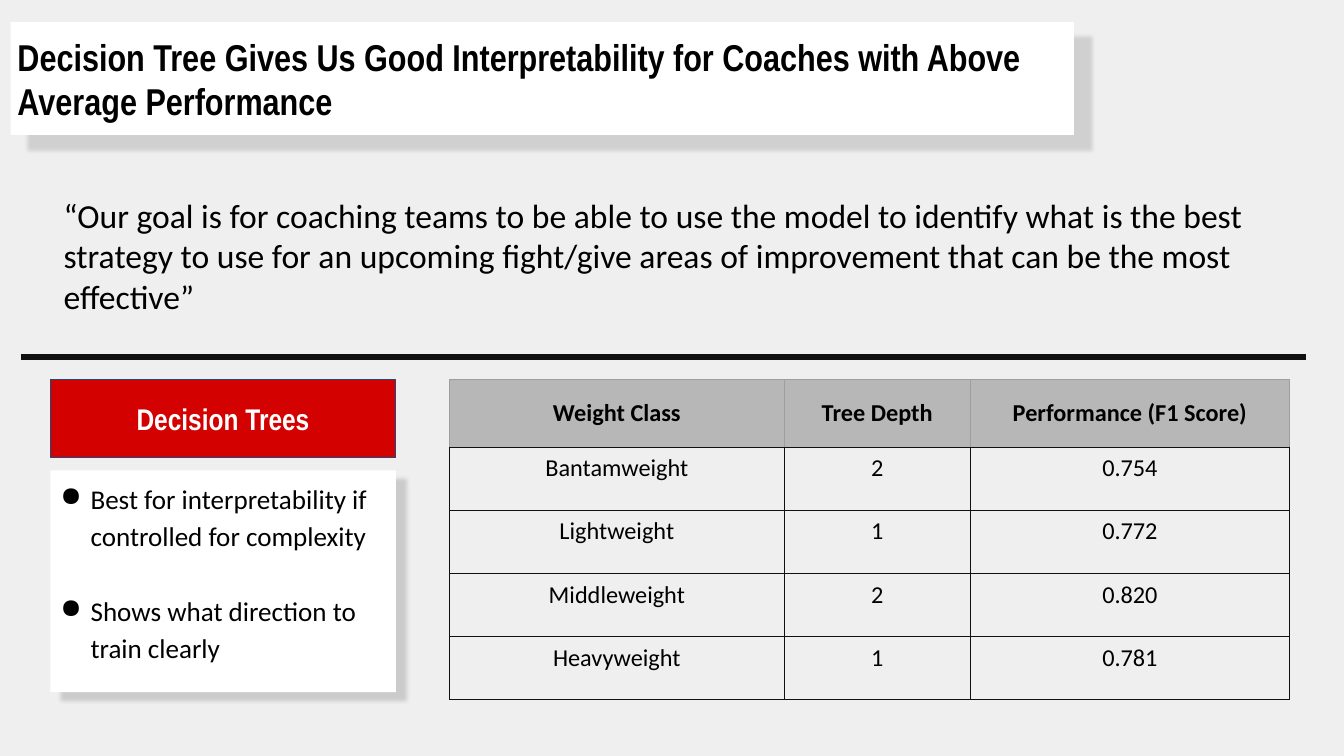
from dataclasses import dataclass
from typing import Any, NamedTuple, Optional

from lxml import etree
from pptx import Presentation
from pptx import util as u
from pptx.dml import color
from pptx.enum import shapes, text
from pptx.oxml import ns

SLIDE_WIDTH, SLIDE_HEIGHT = u.Inches(20), u.Inches(11.25)


@dataclass(frozen=True)
class Theme:
    background: str = "EFEFEF"
    panel: str = "FFFFFF"
    accent: str = "D40101"
    accent_edge: str = "1F497D"
    ink: str = "000000"
    rule: str = "101010"
    header: str = "B7B7B7"
    header_edge: str = "9E9E9E"
    heading_font: str = "Arial Narrow"
    body_font: str = "Calibri"
    title_size: float = 40
    quote_size: float = 36
    label_size: float = 32
    point_size: float = 29
    table_size: float = 26
    hairline: float = 0.75
    rule_width: float = 6


class Area(NamedTuple):
    left: float
    top: float
    width: float
    height: float


class Style(NamedTuple):
    font: str
    size: float
    ink: str
    bold: bool = False
    align: Any = text.PP_ALIGN.LEFT
    anchor: Any = text.MSO_ANCHOR.TOP


class Shadow(NamedTuple):
    opacity: int
    blur: float
    distance: float
    angle: float


class Result(NamedTuple):
    weight_class: str
    tree_depth: str
    score: str


THEME = Theme()
CENTER, MIDDLE = text.PP_ALIGN.CENTER, text.MSO_ANCHOR.MIDDLE
INSET = u.Inches(0.1)

TITLE_AREA = Area(0.8, 2.93, 79.1, 14.93)
QUOTE_AREA = Area(4.25, 24.89, 89.3, 18.93)
LABEL_AREA = Area(3.75, 50.22, 25.7, 10.31)
POINTS_AREA = Area(3.75, 62.22, 25.7, 29.33)
RESULTS_AREA = Area(33.45, 50.22, 62.5, 42.31)
RULE_LEFT, RULE_RIGHT, RULE_TOP = 1.55, 97.15, 47.2
RESULT_COLUMNS = (24.9, 13.85, 23.75)
HEADER_ROW, RESULT_ROW = 8.89, 8.36

TITLE_STYLE = Style(THEME.heading_font, THEME.title_size, THEME.ink, True, anchor=MIDDLE)
QUOTE_STYLE = Style(THEME.body_font, THEME.quote_size, THEME.ink)
LABEL_STYLE = Style(THEME.heading_font, THEME.label_size, THEME.panel, True, CENTER, MIDDLE)
POINT_STYLE = Style(THEME.body_font, THEME.point_size, THEME.ink)
HEADER_STYLE = Style(THEME.body_font, THEME.table_size, THEME.ink, True, CENTER, MIDDLE)
RESULT_STYLE = Style(THEME.body_font, THEME.table_size, THEME.ink, align=CENTER)

TITLE = "Decision Tree Gives Us Good Interpretability for Coaches with Above Average Performance"
QUOTE = (
    "“Our goal is for coaching teams to be able to use the model to identify what is the best "
    "strategy to use for an upcoming fight/give areas of improvement that can be the most effective”"
)
POINTS = (
    "Best for interpretability if controlled for complexity",
    "Shows what direction to train clearly",
)
RESULTS = (
    Result("Weight Class", "Tree Depth", "Performance (F1 Score)"),
    Result("Bantamweight", "2", "0.754"),
    Result("Lightweight", "1", "0.772"),
    Result("Middleweight", "2", "0.820"),
    Result("Heavyweight", "1", "0.781"),
)


def across(share: float) -> int:
    return round(SLIDE_WIDTH * share / 100)


def down(share: float) -> int:
    return round(SLIDE_HEIGHT * share / 100)


def place(area: Area) -> tuple[int, int, int, int]:
    return across(area.left), down(area.top), across(area.width), down(area.height)


def rgb(value: str) -> color.RGBColor:
    return color.RGBColor.from_string(value)


def add_child(parent: Any, tag: str, **attributes: Any) -> Any:
    values = {name: str(value) for name, value in attributes.items()}
    return etree.SubElement(parent, ns.qn(tag), values)


def paint(fill: Any, value: str) -> None:
    fill.solid()
    fill.fore_color.rgb = rgb(value)


def set_margins(holder: Any) -> None:
    holder.margin_left = holder.margin_right = INSET
    holder.margin_top = holder.margin_bottom = INSET


def format_paragraphs(frame: Any, style: Style) -> None:
    for paragraph in frame.paragraphs:
        paragraph.alignment = style.align
        for run in paragraph.runs:
            run.font.name = style.font
            run.font.size = u.Pt(style.size)
            run.font.bold = style.bold
            run.font.color.rgb = rgb(style.ink)


def write(frame: Any, words: str, style: Style) -> None:
    frame.text = words
    frame.word_wrap = True
    frame.auto_size = text.MSO_AUTO_SIZE.NONE
    frame.vertical_anchor = style.anchor
    set_margins(frame)
    format_paragraphs(frame, style)


def cast_shadow(shape: Any, shadow: Shadow) -> None:
    shape.shadow.inherit = False
    effects = shape.element.spPr.find(ns.qn("a:effectLst"))
    outer = add_child(effects, "a:outerShdw", blurRad=u.Pt(shadow.blur), dist=u.Pt(shadow.distance),
                      dir=round(shadow.angle * 60000), algn="bl", rotWithShape=0)
    tint = add_child(outer, "a:srgbClr", val=THEME.ink)
    add_child(tint, "a:alpha", val=shadow.opacity * 1000)


def add_panel(slide: Any, area: Area, fill: str, edge: Optional[str] = None) -> Any:
    panel = slide.shapes.add_shape(shapes.MSO_SHAPE.RECTANGLE, *place(area))
    panel.shadow.inherit = False
    paint(panel.fill, fill)
    if edge:
        paint(panel.line.fill, edge)
        panel.line.width = u.Pt(THEME.hairline)
    else:
        panel.line.fill.background()
    return panel


def add_points(slide: Any) -> None:
    panel = add_panel(slide, POINTS_AREA, THEME.panel)
    cast_shadow(panel, Shadow(15, 4.5, 14.2, 40))
    write(panel.text_frame, "\n".join(POINTS), POINT_STYLE)
    for position, paragraph in enumerate(panel.text_frame.paragraphs):
        paragraph.line_spacing = 1.15
        if position:
            paragraph.space_before = u.Pt(40)
        properties = paragraph._p.get_or_add_pPr()
        properties.set("marL", str(u.Inches(0.5)))
        properties.set("indent", str(u.Inches(-0.45)))
        add_child(add_child(properties, "a:buClr"), "a:srgbClr", val=THEME.ink)
        add_child(properties, "a:buChar", char="●")


def add_borders(cell: Any, sides: dict[str, str]) -> None:
    properties = cell._tc.get_or_add_tcPr()
    for side, value in sides.items():
        border = add_child(properties, f"a:ln{side}", w=u.Pt(THEME.hairline))
        add_child(add_child(border, "a:solidFill"), "a:srgbClr", val=value)


def add_results(slide: Any) -> None:
    table = slide.shapes.add_table(len(RESULTS), len(RESULT_COLUMNS), *place(RESULTS_AREA)).table
    table.first_row = table.horz_banding = False
    for column, share in zip(table.columns, RESULT_COLUMNS):
        column.width = across(share)
    for position, (row, result) in enumerate(zip(table.rows, RESULTS)):
        is_header = position == 0
        row.height = down(HEADER_ROW if is_header else RESULT_ROW)
        style = HEADER_STYLE if is_header else RESULT_STYLE
        edge = THEME.header_edge if is_header else THEME.rule
        for cell, words in zip(row.cells, result):
            cell.text_frame.text = words
            cell.vertical_anchor = style.anchor
            set_margins(cell)
            format_paragraphs(cell.text_frame, style)
            add_borders(cell, {"L": edge, "R": edge, "T": edge, "B": THEME.rule})
            if is_header:
                paint(cell.fill, THEME.header)
            else:
                cell.fill.background()


def add_rule(slide: Any) -> None:
    rule = slide.shapes.add_connector(shapes.MSO_CONNECTOR.STRAIGHT, across(RULE_LEFT), down(RULE_TOP),
                                      across(RULE_RIGHT), down(RULE_TOP))
    paint(rule.line.fill, THEME.rule)
    rule.line.width = u.Pt(THEME.rule_width)
    add_child(rule.element.spPr, "a:effectLst")


def main() -> None:
    deck = Presentation()
    deck.slide_width, deck.slide_height = SLIDE_WIDTH, SLIDE_HEIGHT
    slide = deck.slides.add_slide(deck.slide_layouts[5])
    paint(slide.background.fill, THEME.background)

    title = slide.shapes.title
    title.left, title.top, title.width, title.height = place(TITLE_AREA)
    paint(title.fill, THEME.panel)
    cast_shadow(title, Shadow(13, 4.5, 24, 39))
    write(title.text_frame, TITLE, TITLE_STYLE)

    add_results(slide)
    write(slide.shapes.add_textbox(*place(QUOTE_AREA)).text_frame, QUOTE, QUOTE_STYLE)
    add_rule(slide)
    label = add_panel(slide, LABEL_AREA, THEME.accent, THEME.accent_edge)
    write(label.text_frame, "Decision Trees", LABEL_STYLE)
    add_points(slide)
    deck.save("out.pptx")


if __name__ == "__main__":
    main()
